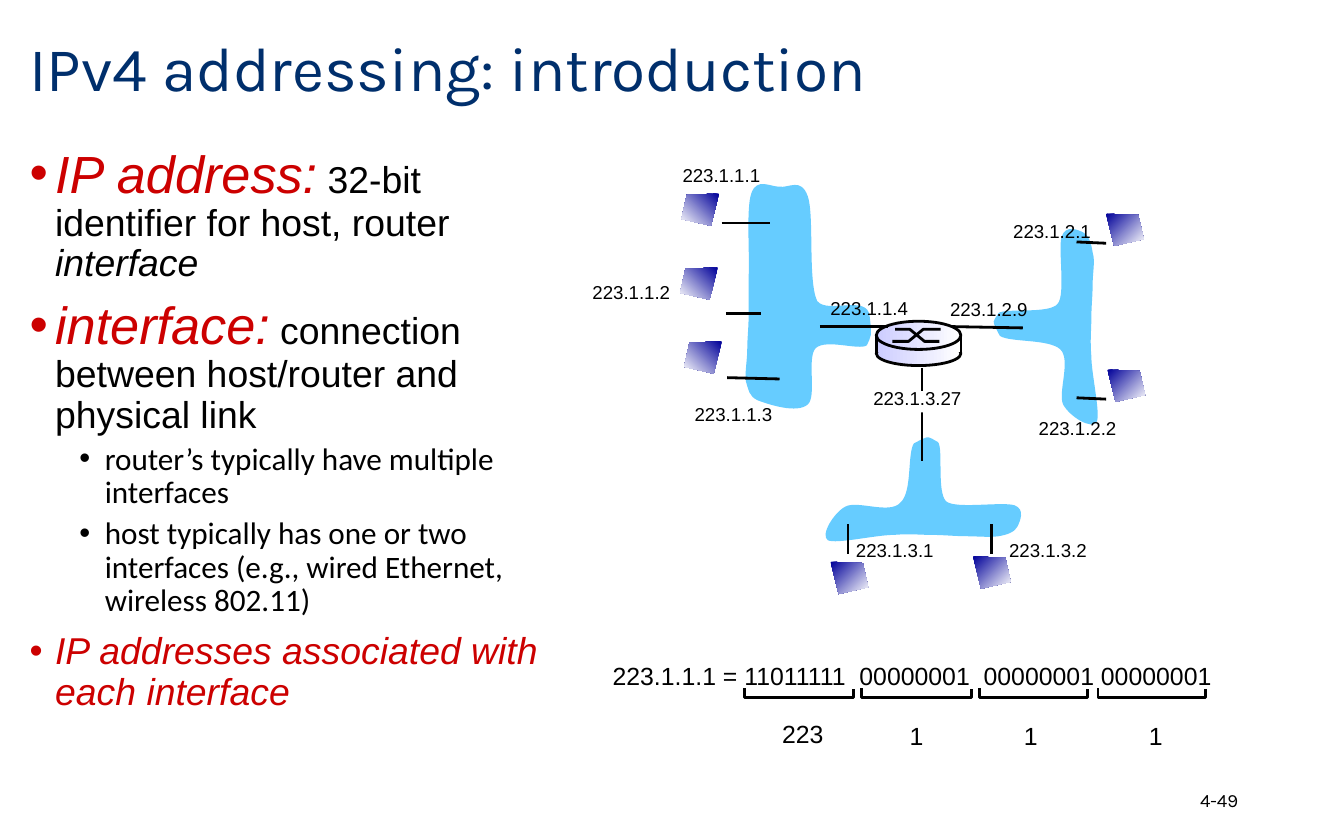
from dataclasses import dataclass

from lxml import etree
from pptx import Presentation, util as u
from pptx.dml.color import RGBColor
from pptx.enum import shapes, text
from pptx.oxml import ns

PX = 9144
COLORS = {"title": "002F6C", "accent": "CC0000", "ink": "000000", "paper": "FFFFFF",
          "subnet": "66CCFF", "host": "000099", "router": "CCCCFF"}


@dataclass(frozen=True)
class Span:
    words: str
    size: float
    color: str = "ink"
    italic: bool = False
    face: str = "Arial"


@dataclass(frozen=True)
class Bullet:
    spans: tuple
    level: int = 0


@dataclass(frozen=True)
class Label:
    words: str
    left: int
    top: int
    width: int = 78
    height: int = 27
    size: float = 10


@dataclass(frozen=True)
class Link:
    x1: int
    y1: int
    x2: int
    y2: int


@dataclass(frozen=True)
class Host:
    left: int
    top: int
    mirrored: bool = False


BULLETS = (
    Bullet((Span("IP address:", 28, "accent", True),
            Span(" 32-bit identifier for host, router ", 20),
            Span("interface", 20, italic=True))),
    Bullet((Span("interface:", 28, "accent", True),
            Span(" connection between host/router and physical link", 20))),
    Bullet((Span("router’s typically have multiple interfaces", 16.7, face="Calibri"),), 1),
    Bullet((Span("host typically has one or two interfaces (e.g., wired Ethernet, "
                 "wireless 802.11)", 16.7, face="Calibri"),), 1),
    Bullet((Span("IP addresses associated with each interface", 20, "accent", True),)),
)
SUBNETS = (
    ((680, 330), (675, 338), (679, 366), (670, 374), (662, 383), (638, 372), (629, 377),
     (621, 381), (610, 398), (616, 402), (622, 405), (652, 398), (665, 398), (678, 397),
     (684, 398), (693, 398), (702, 398), (711, 399), (719, 399), (727, 399), (736, 400),
     (743, 399), (749, 398), (755, 396), (757, 392), (759, 388), (763, 379), (755, 376),
     (746, 373), (711, 379), (704, 373), (697, 366), (702, 334), (698, 329), (690, 325),
     (693, 323), (680, 330)),
    ((744, 250), (752, 255), (780, 252), (789, 260), (797, 268), (787, 292), (791, 301),
     (796, 310), (812, 320), (816, 314), (819, 308), (812, 278), (812, 265), (811, 253),
     (812, 246), (812, 237), (812, 228), (813, 220), (813, 211), (813, 203), (815, 194),
     (813, 188), (812, 181), (810, 175), (806, 173), (802, 171), (793, 167), (790, 176),
     (787, 184), (793, 219), (787, 226), (781, 234), (748, 229), (743, 233), (739, 240),
     (737, 237), (744, 250)),
    ((647, 235), (645, 219), (616, 234), (608, 224), (601, 209), (606, 160), (601, 146),
     (596, 132), (587, 140), (580, 139), (573, 139), (563, 132), (559, 144), (555, 155),
     (558, 191), (557, 206), (557, 221), (557, 226), (557, 235), (557, 244), (556, 252),
     (556, 260), (556, 268), (554, 278), (555, 284), (557, 290), (557, 295), (564, 298),
     (572, 301), (593, 308), (601, 301), (608, 295), (600, 266), (607, 259), (615, 252),
     (639, 261), (645, 257), (648, 250), (649, 251), (647, 235)),
)
LINKS = (Link(708, 243, 761, 244), Link(801, 180, 823, 181), Link(801, 296, 823, 297),
         Link(686, 274, 686, 343), Link(631, 412, 631, 390), Link(738, 412, 738, 390))
LEFT_LINKS = (Link(537, 166, 573, 166), Link(540, 233, 566, 233),
              Link(541, 281, 580, 282), Link(610, 243, 661, 243))
ROUTER_SIDES = (Link(652, 249, 652, 263), Link(715, 250, 715, 264))
LABEL_BACKINGS = ((439, 212, 76, 16), (648, 291, 77, 16))
LABELS = (
    Label("223.1.1.1", 498, 117), Label("223.1.1.2", 431, 204), Label("223.1.1.3", 507, 295),
    Label("223.1.1.4", 608, 216), Label("223.1.2.9", 697, 217), Label("223.1.2.2", 763, 305),
    Label("223.1.2.1", 744, 159), Label("223.1.3.2", 741, 396), Label("223.1.3.1", 627, 396),
    Label("223.1.3.27", 640, 283, 86),
    Label("223.1.1.1 = 11011111  00000001  00000001 00000001", 446, 487, 470, 33, 13.3),
    Label("223", 572, 530, 51, 33, 13.3),
    *(Label("1", left, 531, 31, 33, 13.3) for left in (667, 752, 845)),
)
OCTET_BRACKETS = ((554, 81), (641, 82), (729, 80), (817, 80))
HOSTS = (Host(507, 144, True), Host(506, 199, True), Host(509, 254, True),
         Host(823, 159), Host(824, 275), Host(724, 414), Host(618, 418))
HOST_OUTLINE = ((0, 0), (24, 1), (28, 19), (6, 24))
ROUTER_ARROWS = (((664, 254), (676, 254), (687, 245), (700, 245)),
                 ((666, 245), (677, 245), (688, 254), (699, 254)))


def rgb(name: str) -> RGBColor:
    return RGBColor.from_string(COLORS[name])


def place(item, left: int, top: int, width: int, height: int) -> None:
    item.left, item.top, item.width, item.height = (v * PX for v in (left, top, width, height))


def style_run(run, span: Span) -> None:
    run.font.name = span.face
    run.font.size = u.Pt(span.size)
    run.font.italic = span.italic
    run.font.color.rgb = rgb(span.color)


def paint(item, fill: str = "", fade: bool = False, angle: int = 0, outlined: bool = False) -> None:
    item.shadow.inherit = False
    if fade:
        item.fill.gradient()
        item.fill.gradient_angle = angle
        for stop, name, position in zip(item.fill.gradient_stops, (fill, "paper"), (0, 1)):
            stop.color.rgb = rgb(name)
            stop.position = position
    elif fill:
        item.fill.solid()
        item.fill.fore_color.rgb = rgb(fill)
    else:
        item.fill.background()
    if outlined:
        item.line.color.rgb = rgb("ink")
        item.line.width = u.Pt(1.5)
    else:
        item.line.fill.background()


def outline(slide, points, closed: bool):
    builder = slide.shapes.build_freeform(*points[0], scale=PX)
    builder.add_line_segments(points[1:], close=closed)
    return builder.convert_to_shape()


def draw_subnet(slide, knots: tuple) -> None:
    cloud = outline(slide, knots, True)
    sides = list(cloud._element.iter(ns.qn("a:lnTo")))
    for i in range(0, len(sides), 3):
        curve = etree.Element(ns.qn("a:cubicBezTo"))
        sides[i].addprevious(curve)
        for side in sides[i:i + 3]:
            curve.append(side[0])
            side.getparent().remove(side)
    paint(cloud, "subnet")


def draw_link(slide, link: Link) -> None:
    wire = slide.shapes.add_connector(shapes.MSO_CONNECTOR.STRAIGHT, link.x1 * PX,
                                      link.y1 * PX, link.x2 * PX, link.y2 * PX)
    wire.line.color.rgb = rgb("ink")
    wire.line.width = u.Pt(1.5)
    etree.SubElement(wire._element.spPr, ns.qn("a:effectLst"))


def draw_label(slide, label: Label) -> None:
    box = slide.shapes.add_textbox(0, 0, 0, 0)
    place(box, label.left, label.top, label.width, label.height)
    frame = box.text_frame
    frame.word_wrap = False
    frame.auto_size = text.MSO_AUTO_SIZE.SHAPE_TO_FIT_TEXT
    frame.text = label.words
    style_run(frame.paragraphs[0].runs[0], Span(label.words, label.size))


def draw_host(slide, host: Host) -> None:
    points = [(host.left + (28 - x if host.mirrored else x), host.top + y)
              for x, y in HOST_OUTLINE]
    paint(outline(slide, points, True), "host", True, 225 if host.mirrored else 315)


def draw_router(slide) -> None:
    oval, rect = shapes.MSO_SHAPE.OVAL, shapes.MSO_SHAPE.RECTANGLE
    for kind, top, height in ((oval, 254, 18), (rect, 251, 11), (oval, 239, 21)):
        part = slide.shapes.add_shape(kind, 652 * PX, top * PX, 63 * PX, height * PX)
        paint(part, "router", True, outlined=kind == oval)
    for arrow in ROUTER_ARROWS:
        paint(outline(slide, arrow, False), outlined=True)
    for side in ROUTER_SIDES:
        draw_link(slide, side)


def write_title(title) -> None:
    place(title, 12, 10, 852, 86)
    frame = title.text_frame
    frame.auto_size = text.MSO_AUTO_SIZE.NONE
    frame.vertical_anchor = text.MSO_ANCHOR.MIDDLE
    frame.text = "IPv4 addressing: introduction"
    heading = frame.paragraphs[0]
    heading.alignment = text.PP_ALIGN.LEFT
    heading.line_spacing = 0.9
    style_run(heading.runs[0], Span(heading.text, 33.3, "title", face="Karla"))


def write_bullets(body) -> None:
    place(body, 12, 105, 415, 458)
    frame = body.text_frame
    frame.auto_size = text.MSO_AUTO_SIZE.NONE
    for i, bullet in enumerate(BULLETS):
        para = frame.add_paragraph() if i else frame.paragraphs[0]
        para.level = bullet.level
        props = para._p.get_or_add_pPr()
        props.set("marL", str((56 if bullet.level else 19) * PX))
        props.set("indent", str(-19 * PX))
        etree.SubElement(props, ns.qn("a:buFont")).set("typeface", "Arial")
        etree.SubElement(props, ns.qn("a:buChar")).set("char", "•")
        para.line_spacing = 0.9
        para.space_before = u.Pt(0 if i == 0 else 3.8 if bullet.level else 7.5)
        for span in bullet.spans:
            run = para.add_run()
            run.text = span.words
            style_run(run, span)


def write_page_number(slide) -> None:
    box = slide.shapes.add_textbox(706 * PX, 579 * PX, 225 * PX, 33 * PX)
    frame = box.text_frame
    frame.word_wrap = True
    frame.vertical_anchor = text.MSO_ANCHOR.MIDDLE
    frame.text = "4-49"
    frame.paragraphs[0].alignment = text.PP_ALIGN.RIGHT
    style_run(frame.paragraphs[0].runs[0], Span("4-49", 10, face="Karla"))


def main() -> None:
    deck = Presentation()
    deck.slide_width, deck.slide_height = 1000 * PX, 625 * PX
    slide = deck.slides.add_slide(deck.slide_layouts[1])
    for subnet in SUBNETS:
        draw_subnet(slide, subnet)
    write_title(slide.shapes.title)
    write_bullets(slide.placeholders[1])
    write_page_number(slide)
    for link in LINKS:
        draw_link(slide, link)
    for backing in LABEL_BACKINGS:
        patch = slide.shapes.add_shape(shapes.MSO_SHAPE.RECTANGLE, *(v * PX for v in backing))
        paint(patch, "paper")
    for label in LABELS:
        draw_label(slide, label)
    for left, width in OCTET_BRACKETS:
        right = left + width
        bracket = ((left, 512), (left, 519), (right, 519), (right, 513))
        paint(outline(slide, bracket, False), outlined=True)
    for host in HOSTS:
        draw_host(slide, host)
    draw_router(slide)
    for link in LEFT_LINKS:
        draw_link(slide, link)
    deck.save("out.pptx")


if __name__ == "__main__":
    main()
